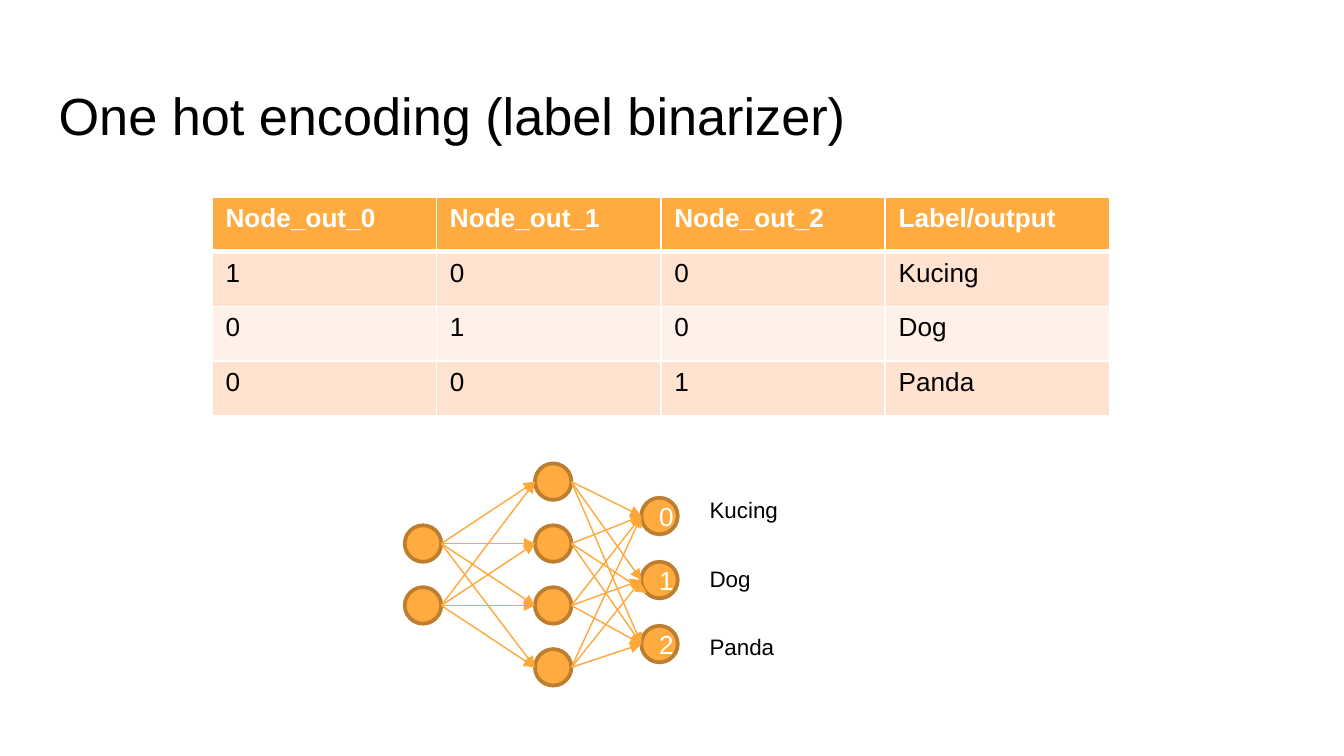
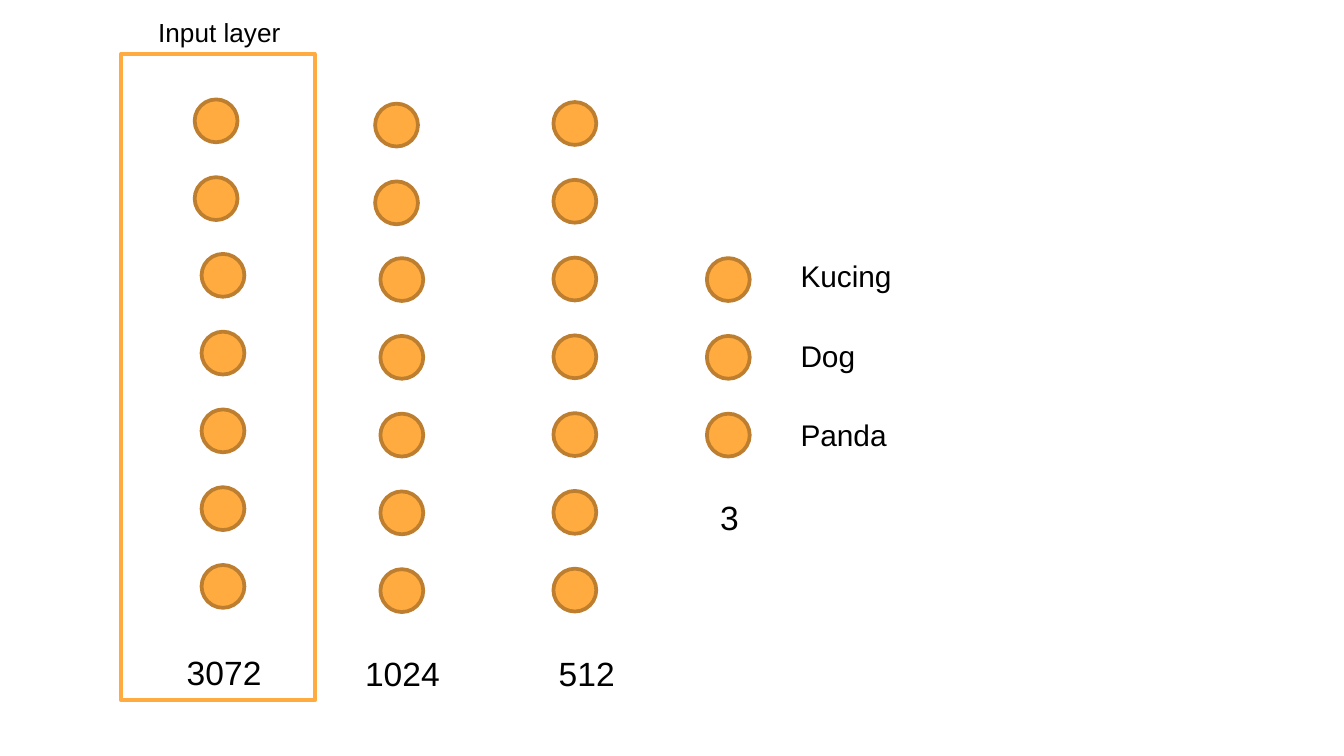
"""Build two slides that explain one hot encoding and the network layers behind it."""
from dataclasses import dataclass
from itertools import product
from math import cos, pi

from lxml import etree
from pptx import Presentation
from pptx import util as u
from pptx.dml.color import RGBColor
from pptx.enum import shapes, text
from pptx.oxml import ns


@dataclass(frozen=True)
class Theme:
    font: str = "Arial"
    ink: str = "000000"
    paper: str = "FFFFFF"
    node: str = "FFAB40"
    node_edge: str = "BD7F2F"
    arrow: str = "FEA83A"
    bands: tuple = ("FFE2CF", "FFF1E8")
    title: int = 28
    count: int = 18
    label: int = 16
    body: int = 14
    small: int = 12
    outline: float = 2
    arrow_width: float = 0.75


class Sketch:
    def __init__(self, theme):
        self.theme = theme
        self.deck = Presentation()
        self.deck.slide_width, self.deck.slide_height = u.Cm(25.4), u.Cm(14.29)

    def new_slide(self, grouped=False):
        slide = self.deck.slides.add_slide(self.deck.slide_layouts[6])
        self.shapes = slide.shapes
        if grouped:
            self.shapes = slide.shapes.add_group_shape().shapes

    def set_text(self, frame, words, size, color, bold=False):
        frame.text = words
        for para in frame.paragraphs:
            for span in para.runs:
                span.font.name = self.theme.font
                span.font.size = u.Pt(size)
                span.font.bold = bold
                span.font.color.rgb = RGBColor.from_string(color)

    def label(self, words, left, top, width, height, size):
        box = self.shapes.add_textbox(*map(u.Cm, (left, top, width, height)))
        box.text_frame.word_wrap = True
        self.set_text(box.text_frame, words, size, self.theme.ink)
        return box

    def title(self, words):
        box = self.label(words, 0.86, 1.24, 23.67, 1.6, self.theme.title)
        box.text_frame.margin_top = u.Cm(0.33)

    def outlined(self, kind, left, top, width, height, fill, edge):
        shape = self.shapes.add_shape(kind, *map(u.Cm, (left, top, width, height)))
        shape.shadow.inherit = False
        shape.fill.solid()
        shape.fill.fore_color.rgb = RGBColor.from_string(fill)
        shape.line.color.rgb = RGBColor.from_string(edge)
        shape.line.width = u.Pt(self.theme.outline)
        return shape

    def frame(self, left, top, width, height):
        self.outlined(shapes.MSO_SHAPE.RECTANGLE, left, top, width, height,
                      self.theme.paper, self.theme.node)

    def node(self, left, top, size, words=""):
        shape = self.outlined(shapes.MSO_SHAPE.OVAL, left, top, size, size,
                              self.theme.node, self.theme.node_edge)
        if words:
            self.set_text(shape.text_frame, words, self.theme.body, self.theme.paper)
            shape.text_frame.vertical_anchor = text.MSO_ANCHOR.MIDDLE
            shape.text_frame.paragraphs[0].alignment = text.PP_ALIGN.CENTER

    def arrow(self, start, end):
        line = self.shapes.add_connector(shapes.MSO_CONNECTOR.STRAIGHT,
                                         *map(u.Cm, (*start, *end)))
        line.line.color.rgb = RGBColor.from_string(self.theme.arrow)
        line.line.width = u.Pt(self.theme.arrow_width)
        properties = line._element.spPr
        etree.SubElement(properties.find(ns.qn("a:ln")), ns.qn("a:tailEnd"), type="triangle")
        etree.SubElement(properties, ns.qn("a:effectLst"))

    def cell_borders(self, cell, widths):
        properties = cell._tc.get_or_add_tcPr()
        for index, (side, points) in enumerate(widths.items()):
            edge = etree.Element(ns.qn(f"a:ln{side}"), w=str(u.Pt(points)))
            fill = etree.SubElement(edge, ns.qn("a:solidFill"))
            etree.SubElement(fill, ns.qn("a:srgbClr"), val=self.theme.paper)
            properties.insert(index, edge)

    def table(self, rows, left, top, column_width, row_height):
        columns = len(rows[0])
        table = self.shapes.add_table(
            len(rows), columns, u.Cm(left), u.Cm(top),
            u.Cm(column_width * columns), u.Cm(row_height * len(rows))).table
        for r, row in enumerate(rows):
            header = r == 0
            fill = self.theme.node if header else self.theme.bands[(r - 1) % 2]
            color = self.theme.paper if header else self.theme.ink
            borders = {"L": 1, "R": 1, "T": 3 if r == 1 else 1, "B": 3 if header else 1}
            for c, words in enumerate(row):
                cell = table.cell(r, c)
                self.set_text(cell.text_frame, words, self.theme.body, color, header)
                cell.fill.solid()
                cell.fill.fore_color.rgb = RGBColor.from_string(fill)
                self.cell_borders(cell, borders)


ANIMALS = ("Kucing", "Dog", "Panda")


def encoding_slide(sketch):
    sketch.new_slide()
    sketch.title("One hot encoding (label binarizer)")
    rows = [[*(f"Node_out_{i}" for i in range(3)), "Label/output"]]
    for i, animal in enumerate(ANIMALS):
        rows.append([*(str(int(i == j)) for j in range(3)), animal])
    sketch.table(rows, 4.01, 3.73, 4.24, 1.03)

    size = 0.69
    hidden = [(10.11, 8.76 + 1.17 * i) for i in range(4)]
    outputs = [(12.12, 9.41 + 1.21 * i) for i in range(3)]
    inputs = [(7.65, top) for _, top in hidden[1:3]]
    for left, top in hidden:
        sketch.node(left, top, size)
    for i, (left, top) in enumerate(outputs):
        sketch.node(left, top, size, str(i))
    for left, top in inputs:
        sketch.node(left, top, size)

    corner = size / 2 * (1 - cos(pi / 4))
    for sources, targets in ((inputs, hidden), (hidden, outputs)):
        for source, target in product(sources, targets):
            end = (target[0], target[1] + size / 2)
            if (source, target) == (hidden[1], outputs[1]):
                end = (target[0] + corner, target[1] + size - corner)
            sketch.arrow((source[0] + size, source[1] + size / 2), end)
    for i, animal in enumerate(ANIMALS):
        sketch.label(animal, 13.16, 9.25 + 1.3 * i, 2.69, 0.76, sketch.theme.small)


def layers_slide(sketch):
    sketch.new_slide(grouped=True)
    sketch.frame(2.29, 1.02, 3.66, 12.22)
    columns = ((3.68, 1.88, 2), (3.81, 4.8, 5), (7.09, 1.96, 2), (7.19, 4.88, 5),
               (10.46, 1.93, 7), (13.36, 4.88, 3))
    for left, top, count in columns:
        for i in range(count):
            sketch.node(left, top + 1.47 * i, 0.81)
    counts = (("3072", 3.28, 12.19), ("1024", 6.65, 12.22),
              ("512", 10.31, 12.22), ("3", 13.36, 9.27))
    for words, left, top in counts:
        sketch.label(words, left, top, 2.69, 1.02, sketch.theme.count)
    for i, animal in enumerate(ANIMALS):
        sketch.label(animal, 14.88, 4.75 + 1.5 * i, 2.69, 0.94, sketch.theme.label)
    sketch.label("Input layer", 2.74, 0.18, 3.2, 0.86, sketch.theme.body)


def main():
    sketch = Sketch(Theme())
    encoding_slide(sketch)
    layers_slide(sketch)
    sketch.deck.save("out.pptx")


if __name__ == "__main__":
    main()
